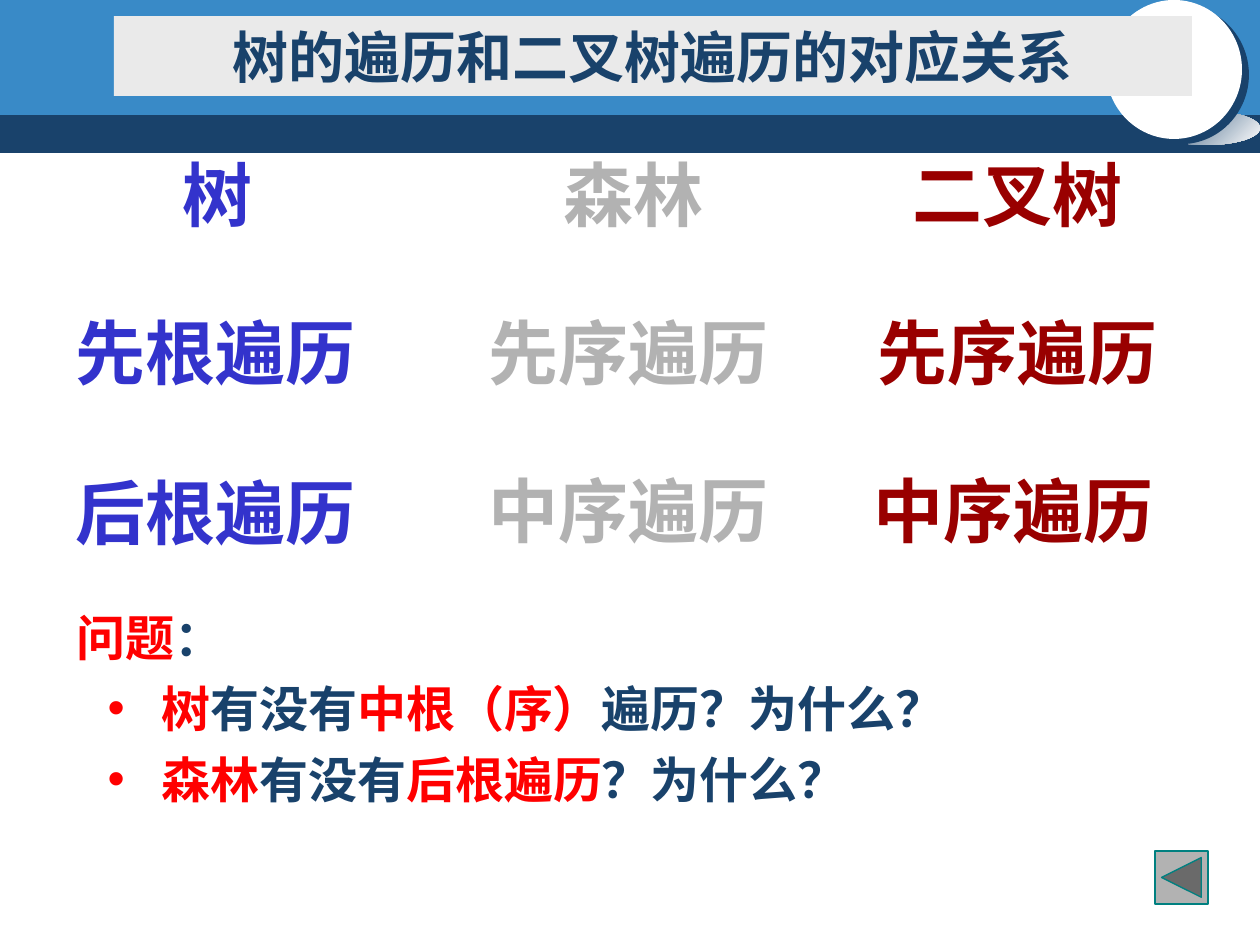
from lxml import etree
from pptx import Presentation, util as u
from pptx.dml.color import RGBColor
from pptx.enum import shapes, text
from pptx.oxml import ns

NAVY = RGBColor(0x19, 0x42, 0x6B)
SKY = RGBColor(0x39, 0x8A, 0xC7)
WHITE = RGBColor(0xFF, 0xFF, 0xFF)
PALE = RGBColor(0xEA, 0xEA, 0xEA)
GRAY = RGBColor(0xB2, 0xB2, 0xB2)
BLUE = RGBColor(0x33, 0x33, 0xCC)
WINE = RGBColor(0x99, 0x00, 0x00)
RED = RGBColor(0xFF, 0x00, 0x00)
TEAL = RGBColor(0x00, 0x80, 0x80)
SANS = "Noto Sans CJK SC"
SERIF = "Times New Roman"
KIND = shapes.MSO_SHAPE


def px(n):
    """Turn pixels into EMU."""
    return u.Emu(round(n * 914400 / 126))


def place(item, box):
    """Move an item to a pixel box."""
    item.left, item.top, item.width, item.height = map(px, box)


def add(parent, kind, box, fill):
    """Add a plain filled shape."""
    item = parent.add_shape(kind, *map(px, box))
    item.shadow.inherit = False
    item.fill.solid()
    item.fill.fore_color.rgb = fill
    item.line.fill.background()
    return item


def write(para, words, size, color, face):
    """Add one bold run with Latin and East Asian fonts."""
    run = para.add_run()
    run.text = words
    font = run.font
    font.size, font.bold, font.name = u.Pt(size), True, face
    font.color.rgb = color
    east = etree.SubElement(run._r.get_or_add_rPr(), ns.qn("a:ea"))
    east.set("typeface", SANS)


def shade(item):
    """Give a shape a hard navy shadow to the lower right."""
    list_ = item._element.spPr.find(ns.qn("a:effectLst"))
    cast = etree.SubElement(list_, ns.qn("a:outerShdw"),
                            dist=str(u.Pt(5)), dir=str(37 * 60000), algn="ctr", rotWithShape="0")
    etree.SubElement(cast, ns.qn("a:srgbClr"), val=str(NAVY))


def banner(slide, x, y, w, h):
    """Draw the two bands and the round ornament."""
    add(slide.shapes, KIND.RECTANGLE, (x, y + 110, w, h - 110), NAVY)
    add(slide.shapes, KIND.RECTANGLE, (x, y, w, 115), SKY)
    group = slide.shapes.add_group_shape().shapes
    glow = add(group, KIND.OVAL, (x + w - 107, y + 111, 107, 34), WHITE)
    glow.fill.gradient()
    glow.fill.gradient_angle = 315
    for stop, color in zip(glow.fill.gradient_stops, (NAVY, WHITE)):
        stop.color.rgb = color
    for stop, spot in zip(glow.fill.gradient_stops, (0, 1)):
        stop.position = spot
    shade(add(group, KIND.OVAL, (x + w - 154, y, 136, 139), WHITE))


def heading(slide, box, words):
    """Fill the title placeholder and lift it above the banner."""
    title = slide.shapes.title
    slide.shapes._spTree.append(title._element)
    place(title, box)
    title.fill.solid()
    title.fill.fore_color.rgb = PALE
    frame = title.text_frame
    frame.auto_size = text.MSO_AUTO_SIZE.NONE
    frame.vertical_anchor = text.MSO_ANCHOR.MIDDLE
    para = frame.paragraphs[0]
    para.alignment = text.PP_ALIGN.CENTER
    write(para, words, 32, NAVY, SERIF)


def column(slide, x, y, color, cells):
    """Stack the labels of one column, each with its own inset and drop."""
    for row, (words, inset, drop) in enumerate(cells):
        wide = 88 * len(words) if len(words) == 1 else 70 * len(words) + 26
        box = (x + inset, y + 158 * row + drop, wide, 97)
        frame = slide.shapes.add_textbox(*map(px, box)).text_frame
        frame.word_wrap = False
        write(frame.paragraphs[0], words, 40, color, SERIF)


def quiz(slide, box, lines):
    """Fill the body placeholder with a lead line and bullets."""
    body = slide.placeholders[1]
    slide.shapes._spTree.append(body._element)
    place(body, box)
    body.fill.solid()
    body.fill.fore_color.rgb = WHITE
    frame = body.text_frame
    frame.auto_size = text.MSO_AUTO_SIZE.NONE
    for row, parts in enumerate(lines):
        para = frame.add_paragraph() if row else frame.paragraphs[0]
        props = para._p.get_or_add_pPr()
        props.set("marL", str(px(85) if row else 0))
        props.set("indent", str(px(-54) if row else 0))
        if row:
            etree.SubElement(props, ns.qn("a:buChar"), char="•")
        else:
            etree.SubElement(props, ns.qn("a:buNone"))
        para.space_before = u.Pt(7 if row else 0)
        for words, color in parts:
            write(para, words, 28, color, SANS)


def back(slide, x, y, side):
    """Draw the back button."""
    key = add(slide.shapes, KIND.ACTION_BUTTON_BACK_OR_PREVIOUS, (x, y, side, side), GRAY)
    key.line.color.rgb = TEAL
    key.line.width = u.Pt(0.75)


def main():
    """Build and save the slide."""
    deck = Presentation()
    deck.slide_width, deck.slide_height = px(1260), px(945)
    slide = deck.slides.add_slide(deck.slide_layouts[1])
    banner(slide, 0, 0, 1260, 153)
    heading(slide, (114, 16, 1078, 80), "树的遍历和二叉树遍历的对应关系")
    column(slide, 63, 145, BLUE,
           [("树", 107, 0), ("先根遍历", 0, 0), ("后根遍历", 0, 2)])
    column(slide, 476, 145, GRAY,
           [("森林", 75, 0), ("先序遍历", 0, 0), ("中序遍历", 0, 0)])
    column(slide, 861, 145, WINE,
           [("二叉树", 39, 0), ("先序遍历", 4, 0), ("中序遍历", 0, 0)])
    back(slide, 1155, 851, 53)
    quiz(slide, (64, 601, 943, 248), [
        [("问题", RED), ("：", NAVY)],
        [("树", RED), ("有没有", NAVY), ("中根（序）", RED), ("遍历？为什么？", NAVY)],
        [("森林", RED), ("有没有", NAVY), ("后根遍历", RED), ("？为什么？", NAVY)],
    ])
    deck.save("out.pptx")


if __name__ == "__main__":
    main()
